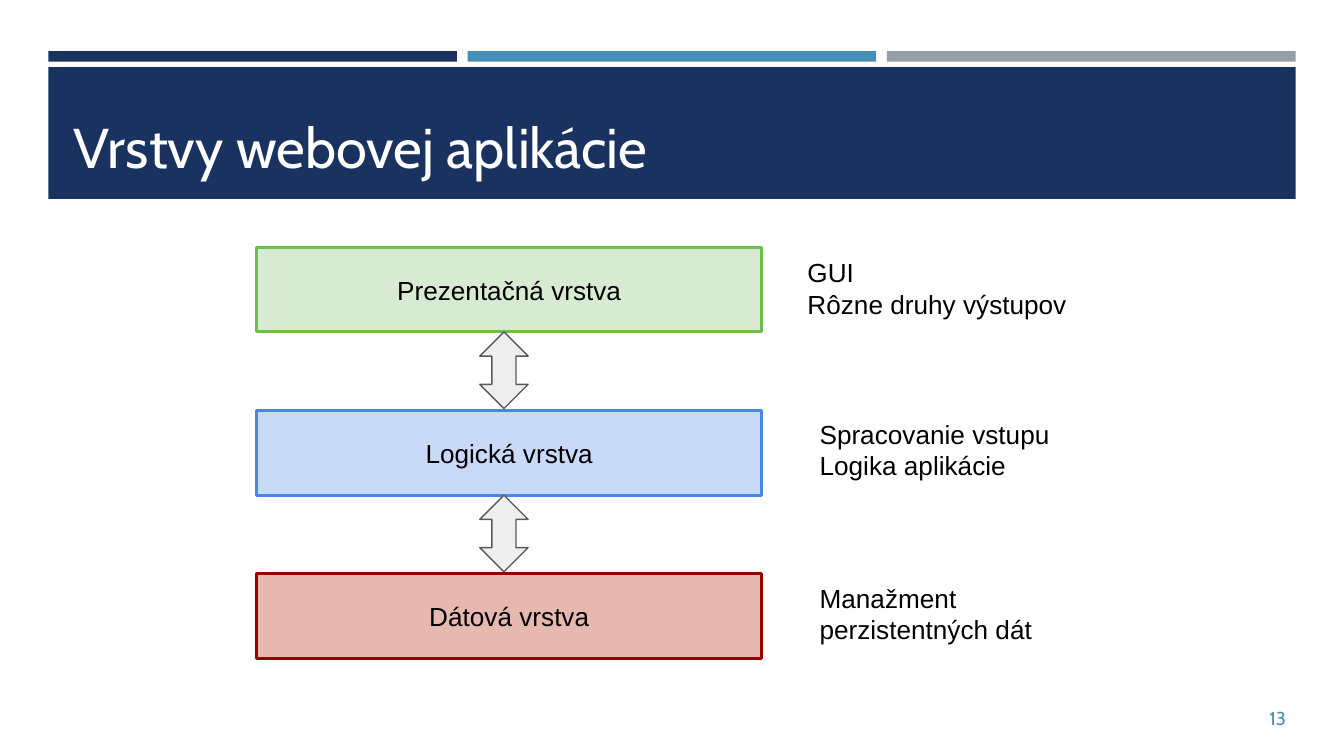
from pptx import Presentation
from pptx import util as u
from pptx.dml.color import RGBColor
from pptx.enum import shapes, text

TITLE = "Vrstvy webovej aplikácie"
PAGE_NUMBER = "13"
NAVY, BLUE, GRAY = "1A3260", "4590B8", "969FA7"
LAYERS = [
    ("Prezentačná vrstva", "D9EAD3", "6EBE47", 5.91, 1.81, ["GUI", "Rôzne druhy výstupov"]),
    ("Logická vrstva", "C9DAF8", "4A86E8", 6, 3.01, ["Spracovanie vstupu", "Logika aplikácie"]),
    ("Dátová vrstva", "E6B8AF", "980000", 6, 4.23, ["Manažment perzistentných dát"]),
]
LAYER_LEFT, LAYER_TOP, LAYER_WIDTH, LAYER_HEIGHT = 1.91, 1.84, 3.76, 0.63
LAST_LAYER_TOP = 4.27
LAYER_STEP = (LAST_LAYER_TOP - LAYER_TOP) / (len(LAYERS) - 1)
ARROW_LEFT, ARROW_WIDTH, ARROW_HEIGHT = 3.57, 0.36, 0.57


def color(value):
    return RGBColor.from_string(value)


def add_shape(kind, box, fill, line=None, line_width=0):
    shape = slide.shapes.add_shape(kind, *map(u.Inches, box))
    shape.shadow.inherit = False
    shape.fill.solid()
    shape.fill.fore_color.rgb = color(fill)
    if line:
        shape.line.color.rgb = color(line)
        shape.line.width = u.Pt(line_width)
    else:
        shape.line.fill.background()
    return shape


def write(shape, lines, size, font, ink, align, anchor, inset_x=0.1, inset_y=0.1):
    frame = shape.text_frame
    frame.word_wrap = True
    frame.auto_size = text.MSO_AUTO_SIZE.NONE
    frame.vertical_anchor = anchor
    frame.margin_left = frame.margin_right = u.Inches(inset_x)
    frame.margin_top = frame.margin_bottom = u.Inches(inset_y)
    frame.text = "\n".join(lines)
    for paragraph in frame.paragraphs:
        paragraph.alignment = align
        paragraph.font.size = u.Pt(size)
        paragraph.font.name = font
        paragraph.font.color.rgb = color(ink)


def add_text_box(box):
    return slide.shapes.add_textbox(*map(u.Inches, box))


presentation = Presentation()
presentation.slide_width = u.Inches(10)
presentation.slide_height = presentation.slide_width * 9 // 16
slide = presentation.slides.add_slide(presentation.slide_layouts[5])

rectangle = shapes.MSO_SHAPE.RECTANGLE
align, anchor = text.PP_ALIGN, text.MSO_ANCHOR

for index, fill in enumerate([NAVY, BLUE, GRAY]):
    add_shape(rectangle, (0.36 + index * 3.12, 0.38, 3.04, 0.08), fill)
add_shape(rectangle, (0.36, 0.5, 9.28, 0.98), NAVY)

title = slide.shapes.title
title.left, title.top, title.width, title.height = map(u.Inches, (0.48, 0.58, 9.05, 0.83))
write(title, [TITLE], 30, "Cabin", "FFFFFF", align.LEFT, anchor.BOTTOM, 0.07, 0.07)
slide.shapes._spTree.append(title._element)

page_number = add_text_box((9.3, 5.19, 0.34, 0.3))
write(page_number, [PAGE_NUMBER], 10, "Cabin", BLUE, align.RIGHT, anchor.MIDDLE, 0.07, 0.04)

for index, (name, fill, line, note_left, note_top, note) in enumerate(LAYERS):
    top = LAYER_TOP + index * LAYER_STEP
    layer = add_shape(rectangle, (LAYER_LEFT, top, LAYER_WIDTH, LAYER_HEIGHT), fill, line, 1.5)
    write(layer, [name], 14, "Arial", "000000", align.CENTER, anchor.MIDDLE)
    if index < len(LAYERS) - 1:
        arrow_box = (ARROW_LEFT, top + LAYER_HEIGHT, ARROW_WIDTH, ARROW_HEIGHT)
        add_shape(shapes.MSO_SHAPE.UP_DOWN_ARROW, arrow_box, "EEEEEE", "595959", 0.75)
    note_box = add_text_box((note_left, note_top, 2.5, 0.7))
    write(note_box, note, 14, "Arial", "000000", align.LEFT, anchor.TOP)

presentation.save("out.pptx")
